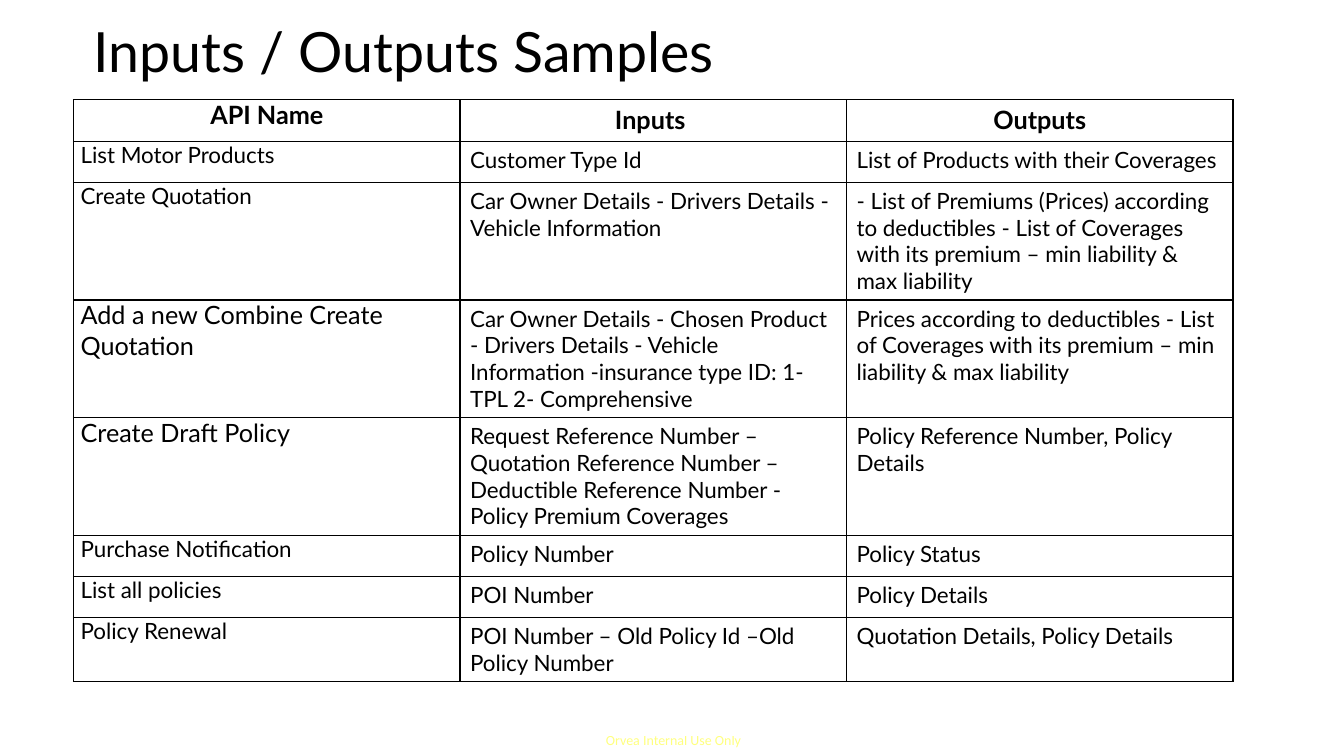
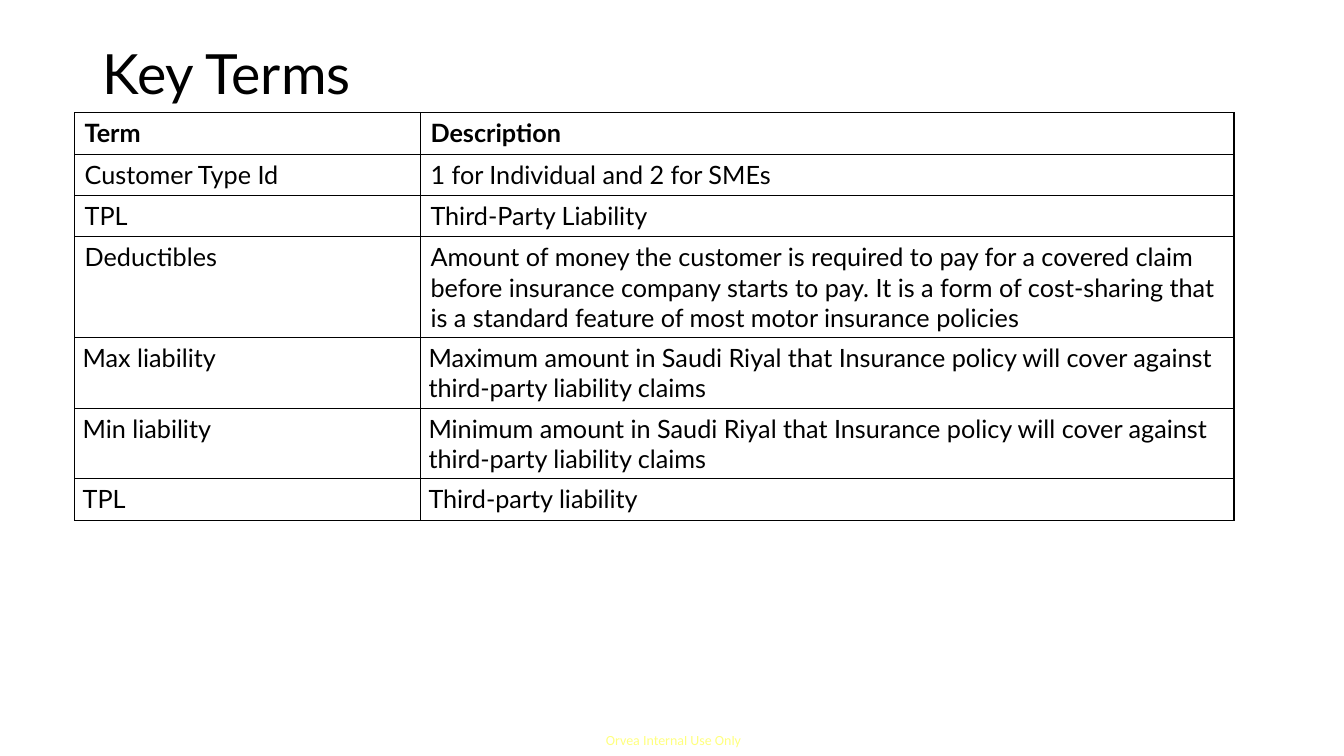
from lxml import etree
from pptx import Presentation
from pptx import util as u
from pptx.dml import color
from pptx.enum import text
from pptx.oxml import ns

BLACK, YELLOW = "000000", "FFFF00"
FACE = "Lato"
DEFAULT_INSET = (0.1, 0.05)
TABLE_WIDTH = 11.5
ROW_HEIGHT = 0.41


def paint(font, value):
    font.color.rgb = color.RGBColor.from_string(value)


def style(paragraph, size, bold=False, face=FACE, value=BLACK):
    font = paragraph.font
    font.size, font.bold, font.name = u.Pt(size), bold, face
    paint(font, value)


def add_text(slide, box, words, inset):
    frame = slide.shapes.add_textbox(*map(u.Inches, box)).text_frame
    frame.margin_left = frame.margin_right = u.Inches(inset[0])
    frame.margin_top = frame.margin_bottom = u.Inches(inset[1])
    frame.text = words
    return frame


def add_footer(slide):
    frame = add_text(slide, (6.01, 7.26, 1.34, 0.17), "Orvea Internal Use Only", (0, 0))
    frame.word_wrap = True
    frame.auto_size = text.MSO_AUTO_SIZE.SHAPE_TO_FIT_TEXT
    notice = frame.paragraphs[0].runs[0].font
    notice.size, notice.name = u.Pt(10), "Calibri"
    paint(notice, YELLOW)
    tint = next(notice.fill._xPr.iter(ns.qn("a:srgbClr")))
    etree.SubElement(tint, ns.qn("a:alpha"), val="50000")


def add_title(slide, words, box):
    frame = add_text(slide, box, words, DEFAULT_INSET)
    frame.word_wrap = True
    frame.vertical_anchor = text.MSO_ANCHOR.MIDDLE
    heading = frame.paragraphs[0]
    heading.line_spacing = 0.9
    style(heading, 39.6)


def add_borders(cell):
    properties = cell._tc.get_or_add_tcPr()
    for side in ("lnL", "lnR", "lnT", "lnB"):
        line = etree.SubElement(properties, ns.qn("a:" + side), w=str(u.Pt(1)))
        fill = etree.SubElement(line, ns.qn("a:solidFill"))
        etree.SubElement(fill, ns.qn("a:srgbClr"), val=BLACK)


def fill_cell(cell, words, size, bold, centred, inset):
    cell.text = words
    cell.margin_left = cell.margin_right = u.Inches(inset[0])
    cell.margin_top = cell.margin_bottom = u.Inches(inset[1])
    paragraph = cell.text_frame.paragraphs[0]
    paragraph.alignment = text.PP_ALIGN.CENTER if centred else text.PP_ALIGN.LEFT
    style(paragraph, size, bold)
    add_borders(cell)
    cell.fill.background()


def add_grid(slide, left, top, widths, rows, size_at, inset_at, centred_header=False):
    table = slide.shapes.add_table(
        len(rows), len(widths), u.Inches(left), u.Inches(top),
        u.Inches(TABLE_WIDTH), u.Inches(ROW_HEIGHT * len(rows))).table
    table.first_row = table.horz_banding = False
    for column, width in zip(table.columns, widths):
        column.width = u.Inches(width)
    for r, row in enumerate(rows):
        table.rows[r].height = u.Inches(ROW_HEIGHT)
        for c, words in enumerate(row):
            header = r == 0
            fill_cell(table.cell(r, c), words, size_at(r, c), header,
                      header and centred_header, inset_at(r, c))


API_ROWS = [
    ("API Name", "Inputs ", "Outputs"),
    ("List Motor Products", "Customer Type Id", "List of Products with their Coverages"),
    ("Create Quotation",
     "Car Owner Details - Drivers Details - Vehicle Information",
     "- List of Premiums (Prices) according to deductibles - List of Coverages "
     "with its premium – min liability & max liability"),
    ("Add a new Combine Create Quotation",
     "Car Owner Details - Chosen Product - Drivers Details - Vehicle Information "
     "-insurance type ID: 1-TPL 2- Comprehensive",
     "Prices according to deductibles - List of Coverages with its premium – "
     "min liability & max liability"),
    ("Create Draft Policy",
     "Request Reference Number – Quotation Reference Number – "
     "Deductible Reference Number - Policy Premium Coverages",
     "Policy Reference Number, Policy Details"),
    ("Purchase Notification", "Policy Number", "Policy Status"),
    ("List all policies", "POI Number", "Policy Details"),
    ("Policy Renewal", "POI Number – Old Policy Id –Old Policy Number",
     "Quotation Details, Policy Details"),
]
LARGE_API_NAMES = (3, 4)

TERM_ROWS = [
    ("Term", "Description"),
    ("Customer Type Id", "1 for Individual and 2 for SMEs"),
    ("TPL", "Third-Party Liability"),
    ("Deductibles",
     "Amount of money the customer is required to pay for a covered claim before "
     "insurance company starts to pay. It is a form of cost-sharing that is a "
     "standard feature of most motor insurance policies"),
    ("Max liability",
     "Maximum amount in Saudi Riyal that Insurance policy will cover against "
     "third-party liability claims"),
    ("Min liability",
     "Minimum amount in Saudi Riyal that Insurance policy will cover against "
     "third-party liability claims"),
    ("TPL", "Third-party liability"),
]
FIRST_LIABILITY_ROW = 4


def build_samples(slide):
    add_footer(slide)
    add_title(slide, "Inputs / Outputs Samples", (0.83, 0.23, TABLE_WIDTH, 0.62))
    add_grid(slide, 0.73, 0.99, [TABLE_WIDTH / 3] * 3, API_ROWS,
             lambda r, c: 18 if r == 0 or (c == 0 and r in LARGE_API_NAMES) else 16,
             lambda r, c: (0.07, 0) if c == 0 else DEFAULT_INSET,
             centred_header=True)


def build_terms(slide):
    add_footer(slide)
    add_title(slide, "Key Terms", (0.92, 0.4, TABLE_WIDTH, 0.72))
    add_grid(slide, 0.74, 1.12, [3.43, 8.07], TERM_ROWS,
             lambda r, c: 18,
             lambda r, c: (0.08, 0.05) if r >= FIRST_LIABILITY_ROW else DEFAULT_INSET)


def main():
    deck = Presentation()
    deck.slide_width, deck.slide_height = u.Inches(13.33), u.Inches(7.5)
    for build in (build_samples, build_terms):
        build(deck.slides.add_slide(deck.slide_layouts[6]))
    deck.save("out.pptx")


if __name__ == "__main__":
    main()
